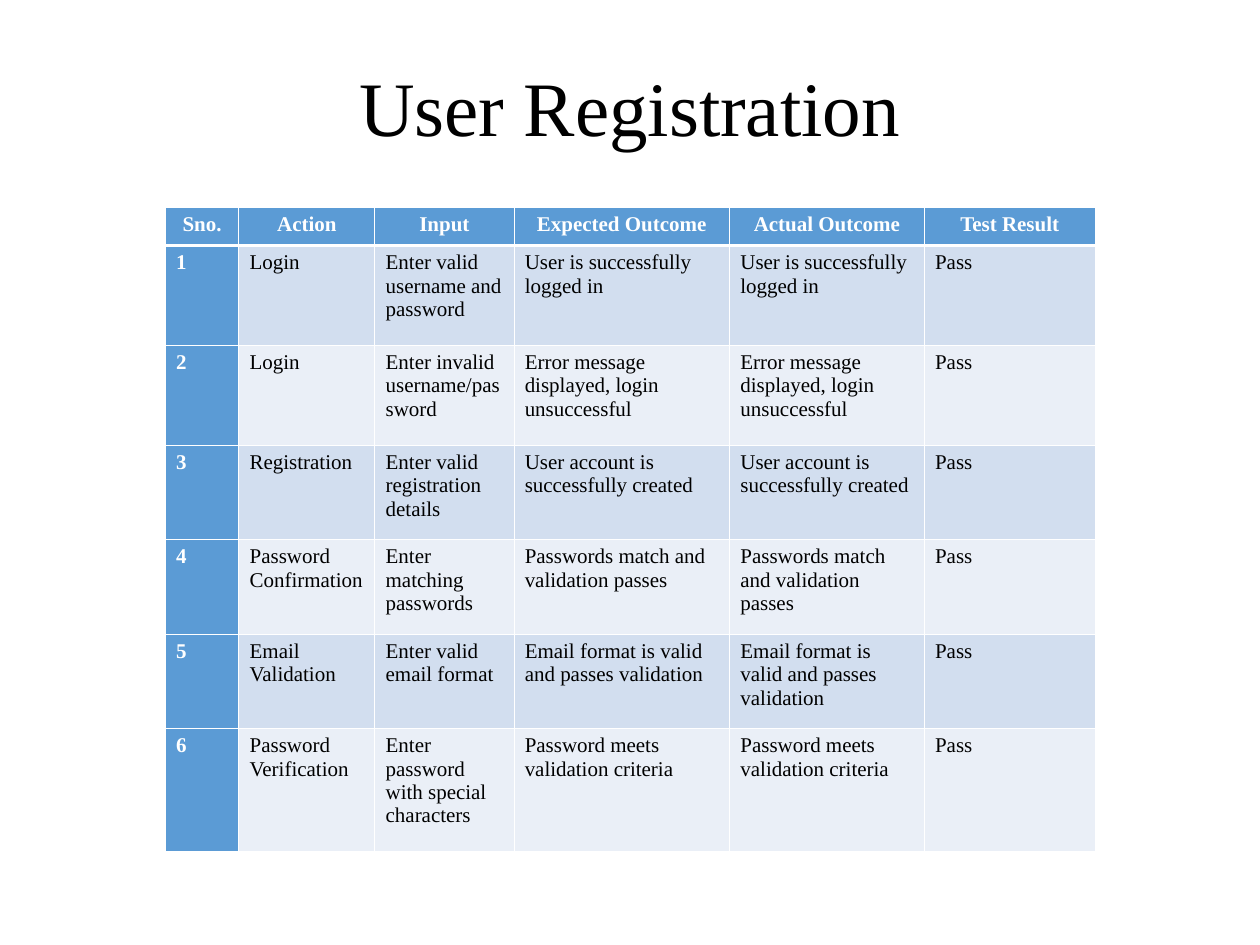
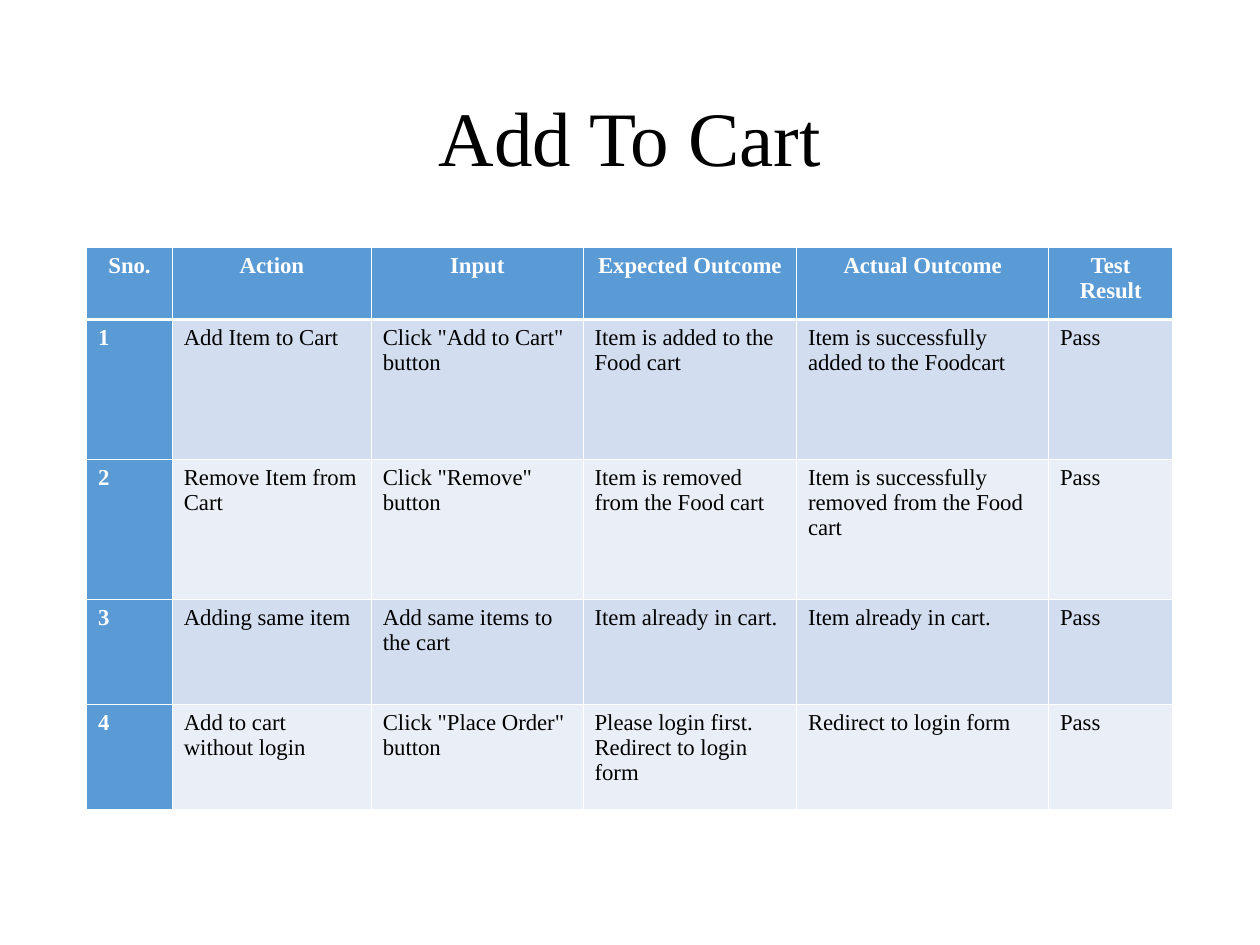
from lxml import etree
from pptx import Presentation
from pptx.dml.color import RGBColor
from pptx.enum import text
from pptx.oxml import ns
from pptx.util import Pt

FONT = "Times New Roman"
WHITE, BLACK, BLUE = "FFFFFF", "000000", "5B9BD5"
BANDS = ("D2DEEF", "EAEFF7")
THIN, THICK = 0.6, 1.78
HEADERS = ("Sno.", "Action", "Input", "Expected Outcome", "Actual Outcome", "Test Result")

# Action, input, expected outcome, actual outcome
REGISTRATION_TESTS = [
    ("Login", "Enter valid username and password",
     "User is successfully logged in", "User is successfully logged in"),
    ("Login", "Enter invalid username/password",
     "Error message displayed, login unsuccessful",
     "Error message displayed, login unsuccessful"),
    ("Registration", "Enter valid registration details",
     "User account is successfully created", "User account is successfully created"),
    ("Password Confirmation", "Enter matching passwords",
     "Passwords match and validation passes", "Passwords match and validation passes"),
    ("Email Validation", "Enter valid email format",
     "Email format is valid and passes validation",
     "Email format is valid and passes validation"),
    ("Password Verification", "Enter password with special characters",
     "Password meets validation criteria", "Password meets validation criteria"),
]
CART_TESTS = [
    ("Add Item to Cart", 'Click "Add to Cart" button',
     "Item is added to the Food cart", "Item is successfully added to the Foodcart"),
    ("Remove Item from Cart", 'Click "Remove" button',
     "Item is removed from the Food cart",
     "Item is successfully removed from the Food cart"),
    ("Adding same item", "Add same items to the cart",
     "Item already in cart.", "Item already in cart."),
    ("Add to cart without login", 'Click "Place Order" button',
     "Please login first. Redirect to login form", "Redirect to login form"),
]


def rgb(value):
    return RGBColor.from_string(value)


def add_run(p, words, size, color, bold=False):
    r = p.add_run()
    r.text = words
    r.font.name, r.font.size, r.font.bold = FONT, Pt(size), bold
    r.font.color.rgb = rgb(color)


def add_title(s, words, box):
    sp = s.shapes.add_textbox(*map(Pt, box))
    tf = sp.text_frame
    tf.word_wrap = True
    tf.vertical_anchor = text.MSO_ANCHOR.MIDDLE
    p = tf.paragraphs[0]
    p.alignment = text.PP_ALIGN.CENTER
    p.line_spacing = 0.9
    add_run(p, words, 44, BLACK)


def set_borders(cell, top, bottom):
    # Borders come before the fill in the cell properties
    props = cell._tc.get_or_add_tcPr()
    for i, (side, width) in enumerate(
            (("lnL", THIN), ("lnR", THIN), ("lnT", top), ("lnB", bottom))):
        line = etree.Element(ns.qn("a:" + side), w=str(Pt(width)))
        fill = etree.SubElement(line, ns.qn("a:solidFill"))
        etree.SubElement(fill, ns.qn("a:srgbClr"), val=WHITE)
        props.insert(i, line)


def fill_cell(cell, words, row, col, size, inset):
    heading = row == 0 or col == 0
    cell.fill.solid()
    cell.fill.fore_color.rgb = rgb(BLUE if heading else BANDS[(row - 1) % 2])
    set_borders(cell, THICK if row == 1 else THIN, THICK if row == 0 else THIN)
    cell.margin_left = cell.margin_right = Pt(inset)
    cell.margin_top = cell.margin_bottom = Pt(inset / 2)
    p = cell.text_frame.paragraphs[0]
    p.alignment = text.PP_ALIGN.CENTER if row == 0 else text.PP_ALIGN.LEFT
    add_run(p, words, size, WHITE if heading else BLACK, heading)


def add_test_table(s, tests, corner, widths, heights, size, inset):
    # Number the tests; every one of them passes
    rows = [HEADERS] + [(str(n), *test, "Pass") for n, test in enumerate(tests, 1)]
    box = (*corner, sum(widths), sum(heights))
    table = s.shapes.add_table(len(rows), len(HEADERS), *map(Pt, box)).table
    for column, width in zip(table.columns, widths):
        column.width = Pt(width)
    for i, (height, values) in enumerate(zip(heights, rows)):
        table.rows[i].height = Pt(height)
        for j, words in enumerate(values):
            fill_cell(table.cell(i, j), words, i, j, size, inset)


def add_test_slide(prs, title, title_height, **table):
    s = prs.slides.add_slide(prs.slide_layouts[6])
    add_title(s, title, (49.5, 28.75, 621, title_height))
    add_test_table(s, **table)


def main():
    prs = Presentation()
    prs.slide_width, prs.slide_height = Pt(720), Pt(540)
    add_test_slide(prs, "User Registration", 70.5,
                   tests=REGISTRATION_TESTS, corner=(94.5, 118.5),
                   widths=(42, 77.75, 79.5, 123.25, 111.25, 97.75),
                   heights=(22, 57, 57, 54, 54, 54, 70), size=12, inset=6.2)
    add_test_slide(prs, "Add To Cart", 104.5,
                   tests=CART_TESTS, corner=(49.5, 141.5),
                   widths=(49, 113.75, 121, 122, 144, 71),
                   heights=(41, 80, 80, 60, 60), size=13, inset=6.6)
    prs.save("out.pptx")


if __name__ == "__main__":
    main()
